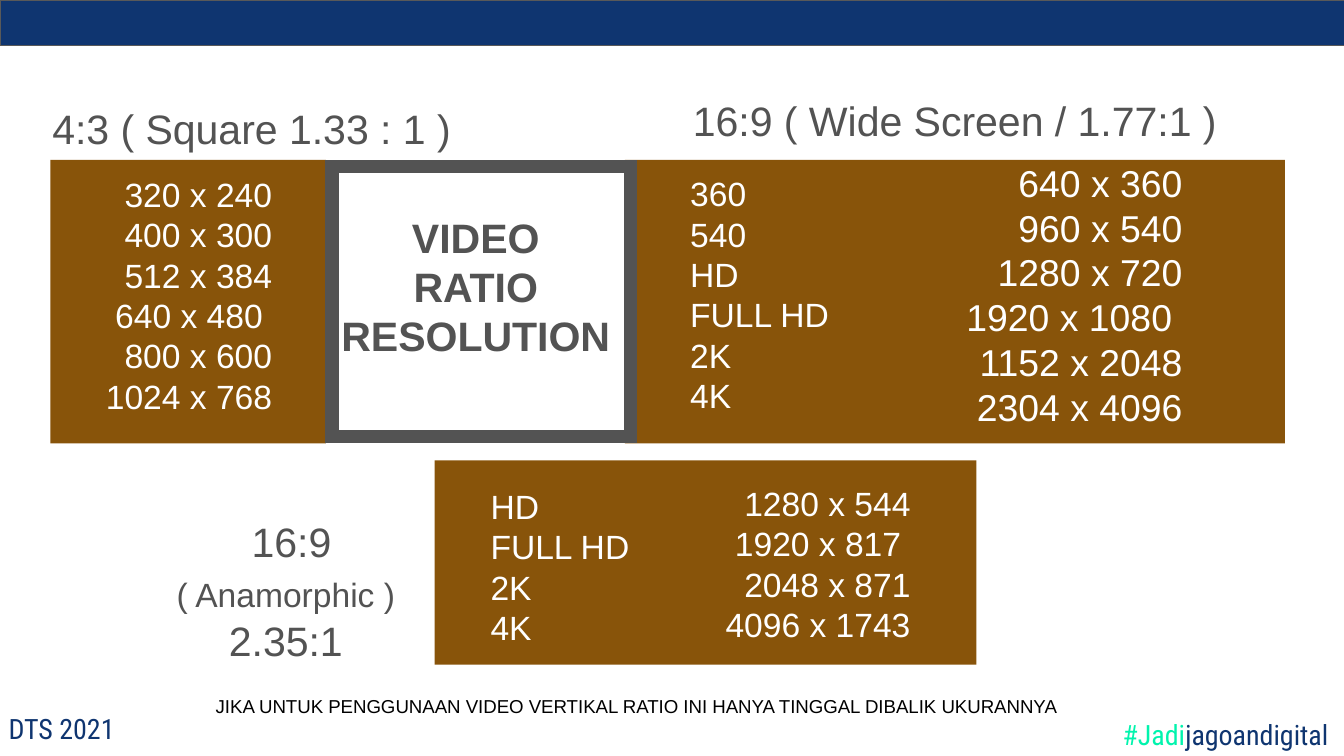
from lxml.etree import SubElement
from pptx import Presentation
from pptx.dml.color import RGBColor
from pptx.enum.shapes import MSO_SHAPE
from pptx.enum.text import MSO_ANCHOR, MSO_AUTO_SIZE, PP_ALIGN
from pptx.oxml.ns import qn
from pptx.util import Inches, Pt

HUES = {
    "brown": "88540A", "gray": "535353", "edge": "595959", "white": "FFFFFF",
    "black": "000000", "navy": "0F3570", "mint": "00F4AD",
}
SIDES = {"l": PP_ALIGN.LEFT, "c": PP_ALIGN.CENTER, "r": PP_ALIGN.RIGHT}
COLS = 100
ROWS = COLS * 9 / 16


def tint(name):
    return RGBColor.from_string(HUES[name])


def write(frame, lines, side="l", space=None, size=18, hue="white", face="Arial", bold=False):
    for i, line in enumerate(lines):
        para = frame.paragraphs[0] if i == 0 else frame.add_paragraph()
        para.alignment = SIDES[side]
        if space:
            para.line_spacing = space
        parts = [(line, {})] if isinstance(line, str) else line
        for text, own in parts:
            run = para.add_run()
            run.text = text
            run.font.name = face
            run.font.bold = bold
            run.font.size = Pt(own.get("size", size))
            run.font.color.rgb = tint(own.get("hue", hue))


class Deck:
    def __init__(self):
        self.file = Presentation()
        self.file.slide_width = Inches(10)
        self.file.slide_height = Inches(10) * 9 // 16
        self.slide = self.file.slides.add_slide(self.file.slide_layouts[6])

    def place(self, x, y, w, h):
        wide, high = self.file.slide_width, self.file.slide_height
        return [round(n) for n in (x / COLS * wide, y / ROWS * high, w / COLS * wide, h / ROWS * high)]

    def block(self, x, y, w, h, fill=None, line=None, width=1):
        box = self.slide.shapes.add_shape(MSO_SHAPE.RECTANGLE, *self.place(x, y, w, h))
        box.shadow.inherit = False
        if fill:
            box.fill.solid()
            box.fill.fore_color.rgb = tint(fill)
        else:
            box.fill.background()
        if line:
            box.line.color.rgb = tint(line)
            box.line.width = Pt(width)
            edge = box.line._get_or_add_ln()
            SubElement(edge, qn("a:miter"), lim="800000")
        else:
            box.line.fill.background()

    def text(self, x, y, w, h, lines, pad=0.06, wrap=False, grow=True, mid=True, **form):
        frame = self.slide.shapes.add_textbox(*self.place(x, y, w, h)).text_frame
        frame.margin_left = frame.margin_right = Inches(pad)
        frame.margin_top = frame.margin_bottom = Inches(pad)
        frame.word_wrap = wrap
        frame.auto_size = MSO_AUTO_SIZE.SHAPE_TO_FIT_TEXT if grow else MSO_AUTO_SIZE.NONE
        frame.vertical_anchor = MSO_ANCHOR.MIDDLE if mid else MSO_ANCHOR.TOP
        write(frame, lines, **form)

    def foot(self, x, y, w, h, line):
        self.text(x, y, w, h, [line], pad=0.1, wrap=True, grow=False, mid=False,
                  space=0.8, size=15, hue="navy", face="Roboto Condensed")


def main():
    deck = Deck()
    head = {"side": "c", "size": 22, "hue": "gray"}

    deck.block(46.5, 11.9, 49.1, 21.1, "brown")
    deck.block(3.75, 11.9, 20.5, 21.1, "brown")
    deck.text(24.75, 15.35, 21.3, 11.9, ["VIDEO", "RATIO", "RESOLUTION"], bold=True, **head)

    deck.text(3.25, 7.15, 31.8, 4.7, ["4:3 ( Square 1.33 : 1 ) "], **head)
    deck.text(50.95, 6.6, 40.2, 4.7, ["16:9 ( Wide Screen / 1.77:1 )"], **head)

    deck.text(7.25, 12.25, 13.6, 19.4, [
        "320 x 240", "400 x 300", "512 x 384", "640 x 480 ", "800 x 600", "1024 x 768",
    ], side="r")
    deck.text(70.5, 11.35, 18.1, 21.1, [
        "640 x 360", "960 x 540", "1280 x 720", "1920 x 1080 ", "1152 x 2048", "2304 x 4096",
    ], side="r", size=20)

    names = ["HD", "FULL HD", "2K", "4K"]
    deck.text(50.75, 12.2, 12.2, 19.4, ["360", "540"] + names)

    deck.block(32.35, 34.25, 40.3, 15.2, "brown")
    deck.text(11.9, 38, 19.6, 11.9, [
        "16:9", [("( Anamorphic )", {"size": 18}), (" ", {})], "2.35:1 ",
    ], **head)
    deck.text(35.9, 35.5, 12.2, 13.3, names)
    deck.text(53.35, 35.3, 15, 13.3, [
        "1280 x 544", "1920 x 817 ", "2048 x 871", "4096 x 1743",
    ], side="r")

    deck.block(24.7, 12.4, 22.2, 20.1, line="gray", width=7)
    deck.text(15.55, 51.2, 114.2, 2.7, [
        "JIKA UNTUK PENGGUNAAN VIDEO VERTIKAL RATIO INI HANYA TINGGAL DIBALIK UKURANNYA",
    ], pad=0.05, wrap=True, mid=False, size=10, hue="black")

    deck.block(0, 0, 100.2, 3.4, "navy", "edge", 0.75)
    deck.foot(-0.35, 52.4, 40.9, 2.1, "DTS 2021")
    deck.foot(82.55, 53.2, 17.6, 1.3, [("#Jadi", {"hue": "mint"}), ("jagoandigital", {})])

    deck.file.save("out.pptx")


if __name__ == "__main__":
    main()
